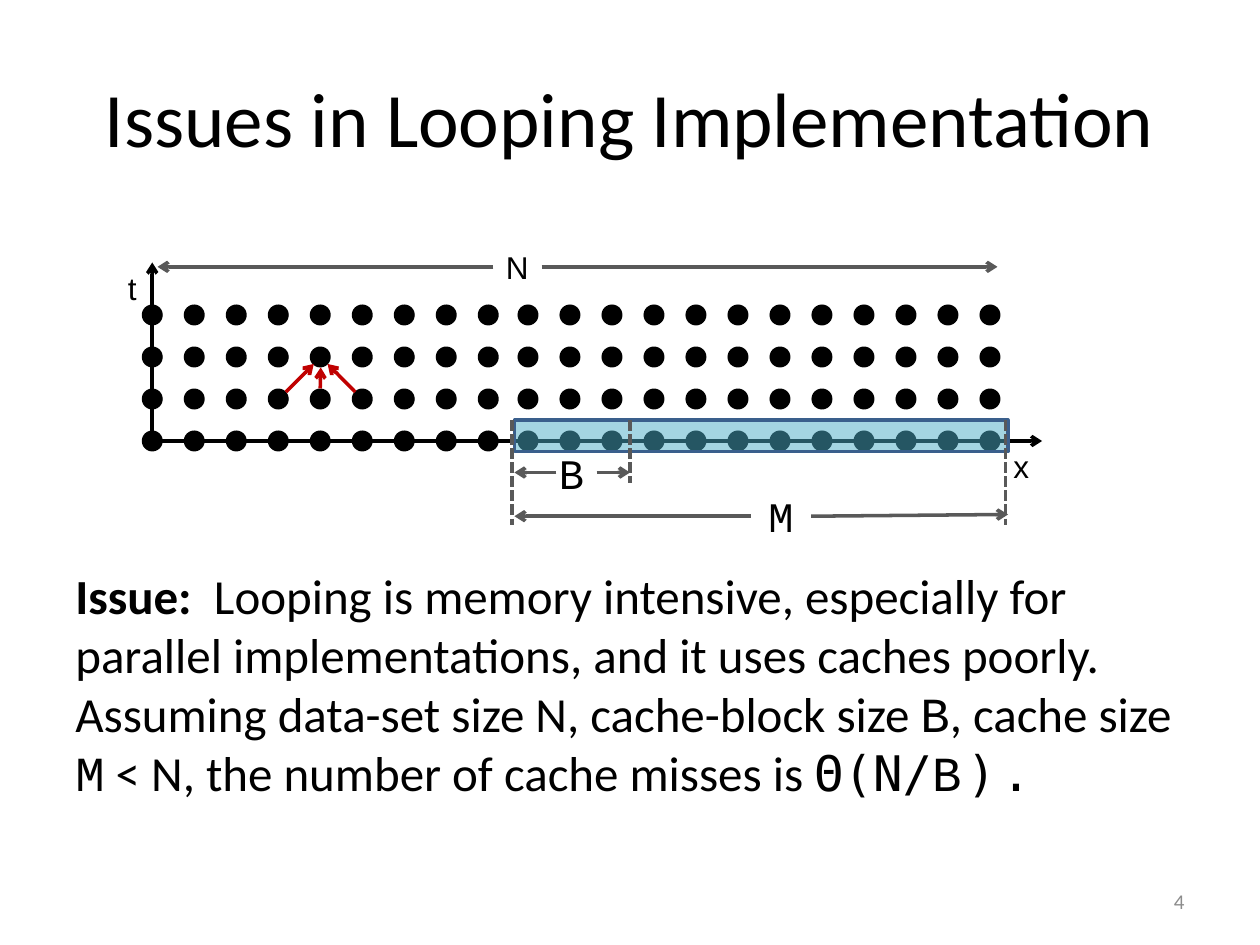
from dataclasses import dataclass

from lxml.etree import SubElement
from pptx import Presentation
from pptx.dml.color import RGBColor
from pptx.enum.dml import MSO_LINE_DASH_STYLE as Dash
from pptx.enum.shapes import MSO_CONNECTOR as Connector, MSO_SHAPE as Shape
from pptx.enum.text import MSO_ANCHOR as Anchor, MSO_AUTO_SIZE as AutoSize, PP_ALIGN as Align
from pptx.oxml.ns import qn
from pptx.util import Pt


@dataclass(frozen=True)
class Theme:
    black: RGBColor = RGBColor(0x00, 0x00, 0x00)
    gray: RGBColor = RGBColor(0x59, 0x59, 0x59)
    light_gray: RGBColor = RGBColor(0x8C, 0x8C, 0x8C)
    red: RGBColor = RGBColor(0xC0, 0x00, 0x00)
    cache_fill: RGBColor = RGBColor(0x4B, 0xAC, 0xC6)
    cache_line: RGBColor = RGBColor(0x3A, 0x5F, 0x8C)
    title_size: int = 44
    body_size: int = 28
    block_size: int = 24
    label_size: int = 18
    number_size: int = 12
    sans: str = "Calibri"
    label: str = "Arial"
    code: str = "Courier New"
    math: str = "DejaVu Sans Mono"


theme = Theme()
presentation = Presentation()
presentation.slide_width, presentation.slide_height = Pt(720), Pt(540)
slide = presentation.slides.add_slide(presentation.slide_layouts[6])


def add_text(text, box, size, font, color=theme.black, align=Align.LEFT,
             anchor=Anchor.TOP, wrap=True):
    shape = slide.shapes.add_textbox(*map(Pt, box))
    frame = shape.text_frame
    frame.word_wrap = wrap
    frame.auto_size = AutoSize.NONE if wrap else AutoSize.SHAPE_TO_FIT_TEXT
    frame.vertical_anchor = anchor
    paragraph = frame.paragraphs[0]
    paragraph.text = text
    paragraph.alignment = align
    paragraph.font.size = Pt(size)
    paragraph.font.name = font
    paragraph.font.color.rgb = color
    return shape


def add_line(start, end, color, dashed=False):
    """Draw a dashed guide, or a solid line with an arrowhead at its end."""
    line = slide.shapes.add_connector(Connector.STRAIGHT, *map(Pt, (*start, *end)))
    line.line.color.rgb = color
    line.line.width = Pt(2)
    if dashed:
        line.line.dash_style = Dash.SQUARE_DOT
    else:
        SubElement(line.line._get_or_add_ln(), qn("a:tailEnd"), type="arrow")
    SubElement(line._element.spPr, qn("a:effectLst"))
    return line


# Title and body text
add_text("Issues in Looping Implementation", (36, 21.6, 648, 90), theme.title_size,
         theme.sans, align=Align.CENTER, anchor=Anchor.MIDDLE)

body = add_text("", (36, 319.7, 648, 143.3), theme.body_size, theme.sans)
body_runs = [
    ("Issue: ", theme.sans, 0),
    (" Looping is memory intensive, especially for parallel implementations, "
     "and it uses caches poorly. Assuming data-set size N, cache-block size ", theme.sans, 0),
    ("B", theme.code, 0),
    (", cache size ", theme.sans, 0),
    ("M", theme.code, 0),
    (" < N, the number of cache misses is ", theme.sans, 0),
    ("Θ(N", theme.math, 0),
    ("/", theme.math, -1.5),
    ("B", theme.code, 3),
    (")", theme.math, 3),
    (".", theme.math, 0),
]
for index, (text, font, spacing) in enumerate(body_runs):
    run = body.text_frame.paragraphs[0].add_run()
    run.text = text
    run.font.size = Pt(theme.body_size)
    run.font.name = font
    run.font.bold = index == 0
    run.font.color.rgb = theme.black
    if spacing:
        run.font._element.set("spc", str(int(spacing * 100)))

# Slide number
add_text("4", (516, 500.5, 168, 28.75), theme.number_size, theme.sans,
         theme.light_gray, Align.RIGHT, Anchor.MIDDLE)

# Grid of points: the cached columns sit slightly closer to the rest
pitch, diameter = 24, 12
columns, rows, first_cached = 21, 4, 9
origin_x, origin_y = 87, 252
for row in range(rows):
    for column in range(columns):
        center_x = origin_x + column * pitch - (1.3 if column >= first_cached else 0)
        center_y = origin_y - row * pitch
        dot = slide.shapes.add_shape(Shape.OVAL, Pt(center_x - diameter / 2),
                                     Pt(center_y - diameter / 2), Pt(diameter), Pt(diameter))
        dot.shadow.inherit = False
        dot.fill.solid()
        dot.fill.fore_color.rgb = theme.black
        dot.line.fill.background()

# Dependencies of one point on its three neighbours below
for start, end in [((163.4, 224), (179.3, 208)),
                   ((183, 222), (183.3, 210)),
                   ((203, 224), (187.2, 208))]:
    add_line(start, end, theme.red)

# Axes
for end in [(595.5, origin_y), (origin_x, 150)]:
    add_line((origin_x, origin_y), end, theme.black)

# Cache contents
cache = slide.shapes.add_shape(Shape.RECTANGLE, Pt(294), Pt(240), Pt(282), Pt(18))
cache.shadow.inherit = False
cache.fill.solid()
cache.fill.fore_color.rgb = theme.cache_fill
SubElement(cache.fill._xPr.find(qn("a:solidFill"))[0], qn("a:alpha"), val="50000")
cache.line.color.rgb = theme.cache_line
cache.line.width = Pt(2)

# Dashed limits of the cache and of one block
for x, bottom in [(292.5, 300), (574.5, 300), (360, 276)]:
    add_line((x, 240), (x, bottom), theme.gray, dashed=True)

# Labels
labels = {}
for text, box, size, font, align in [
    ("t", (66, 150, 19.5, 29), theme.label_size, theme.label, Align.LEFT),
    ("x", (572, 252, 23.5, 29), theme.label_size, theme.label, Align.LEFT),
    ("N", (282, 138, 27.5, 29), theme.label_size, theme.label, Align.LEFT),
    ("B", (312, 252, 29, 36), theme.block_size, theme.code, Align.CENTER),
    ("M", (429, 277, 34.5, 36), theme.block_size, theme.code, Align.CENTER),
]:
    labels[text] = add_text(text, box, size, font, align=align, wrap=False)

# Extents, pointing outward from the sides of their labels
left, right = 1, 3
for text, side, end in [
    ("N", left, (90, 152.5)),
    ("N", right, (570, 152.5)),
    ("B", right, (360, 270)),
    ("M", left, (294, 295)),
    ("M", right, (576, 294)),
]:
    add_line(end, end, theme.gray).begin_connect(labels[text], side)
add_line((318, 270), (294, 270), theme.gray)

presentation.save("out.pptx")
